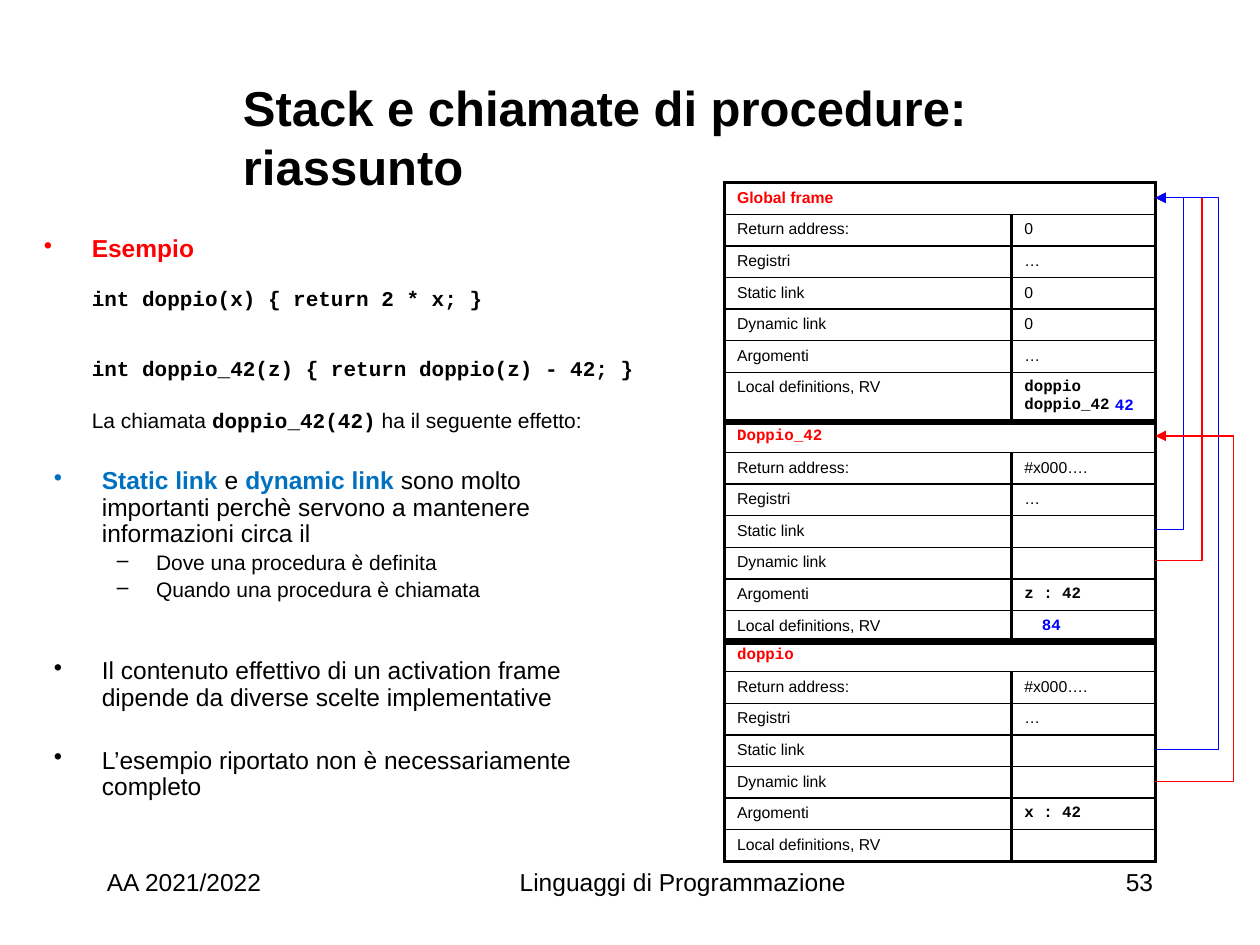
from copy import deepcopy

from lxml import etree
from pptx import Presentation
from pptx.dml.color import RGBColor
from pptx.enum.text import MSO_ANCHOR, PP_ALIGN
from pptx.oxml.ns import qn
from pptx.util import Inches, Pt

LEFT, MID, RIGHT = PP_ALIGN.LEFT, PP_ALIGN.CENTER, PP_ALIGN.RIGHT
TOP, MIDDLE = MSO_ANCHOR.TOP, MSO_ANCHOR.MIDDLE
BLACK = RGBColor(0, 0, 0)
RED = RGBColor(255, 0, 0)
BLUE = RGBColor(0, 0, 255)
SKY = RGBColor(0, 0x70, 0xC0)
SANS, MONO = "Arial", "Courier New"


def style(size, color=BLACK, bold=False, name=SANS):
    """Return the format values of a run."""
    return {"size": Pt(size), "name": name, "bold": bold, "color": color}


BIG, SMALL, CELL = style(14), style(12), style(9)
CODE = style(12, bold=True, name=MONO)
VALUE = style(9, bold=True, name=MONO)
RESULT = style(9, BLUE, True, MONO)
TERM = style(14, SKY, True)

# Paragraph: bullet, left margin, indent, space before, runs
EXAMPLE = [
    ("•", 0.38, -0.38, 0, [("Esempio", style(14, RED, True))]),
    ("", 0.38, 0, 14.5, [("int doppio(x) { return 2 * x; }", CODE)]),
    ("", 0.38, 0, 26.7,
     [("int doppio_42(z) { return doppio(z) - 42; }", CODE)]),
    ("", 0.38, 0, 17.2, [("La chiamata ", SMALL), ("doppio_42(42)", CODE),
                         (" ha il seguente effetto:", SMALL)]),
]
NOTES = [
    ("•", 0.38, -0.38, 0, [
        ("Static link", TERM), (" e ", BIG), ("dynamic link", TERM),
        (" sono molto importanti perchè servono a mantenere "
         "informazioni circa il", BIG)]),
    ("–", 0.81, -0.31, 2.4, [("Dove una procedura è definita", SMALL)]),
    ("–", 0.81, -0.31, 2.4, [("Quando una procedura è chiamata", SMALL)]),
    ("•", 0.38, -0.38, 32.4, [
        ("Il contenuto effettivo di un activation frame dipende da "
         "diverse scelte implementative", BIG)]),
    ("•", 0.38, -0.38, 21, [
        ("L’esempio riportato non è necessariamente completo", BIG)]),
]
# Label: left, top, width, height, text, format, alignment, anchor, wrap
LABELS = [
    (0.75, 6.83, 2.5, 0.5, "AA 2021/2022", BIG, LEFT, TOP, True),
    (3.17, 6.83, 4.5, 0.5, "Linguaggi di Programmazione", BIG, MID, TOP, True),
    (7.25, 6.83, 2, 0.5, "53", BIG, RIGHT, TOP, True),
    (1.83, 0.67, 7.42, 0.83, "Stack e chiamate di procedure: riassunto",
     style(28, bold=True), LEFT, MIDDLE, True),
    (8.17, 4.83, 0.35, 0.25, "84", RESULT, LEFT, TOP, False),
    (8.75, 3.08, 0.35, 0.25, "42", RESULT, LEFT, TOP, False),
]
FIELDS = ["Return address:", "Registri", "Static link", "Dynamic link",
          "Argomenti", "Local definitions, RV"]
# Frame: top, height of last row, name, font of name, values
FRAMES = [
    (1.45, 0.38, "Global frame", SANS,
     ["0", "…", "0", "0", "…", "doppio\ndoppio_42"]),
    (3.34, 0.26, "Doppio_42", MONO, ["#x000….", "…", "", "", "z : 42", ""]),
    (5.08, 0.24, "doppio", MONO, ["#x000….", "…", "", "", "x : 42", ""]),
]
FRAME_X, COLS, ROW = 5.75, (2.28, 1.14), 0.24
EDGE = FRAME_X + sum(COLS)
# Link: start height, end height, far side, colour
LINKS = [(4.2, 1.57, 9.39, BLUE), (4.45, 1.57, 9.54, RED),
         (5.95, 1.57, 9.67, BLUE), (6.2, 3.46, 9.79, RED)]


def add_run(par, text, form):
    """Add formatted text, with a line break at each newline."""
    for i, line in enumerate(text.split("\n")):
        if i:
            par.add_line_break()
            par._p[-1].append(deepcopy(run._r.rPr))
        run = par.add_run()
        run.text = line
        for key, val in form.items():
            if key == "color":
                run.font.color.rgb = val
            else:
                setattr(run.font, key, val)


def add_box(slide, left, top, width, height, wrap=True, anchor=TOP):
    """Add a text box and return its text frame."""
    box = slide.shapes.add_textbox(*map(Inches, (left, top, width, height)))
    box.text_frame.word_wrap = wrap
    box.text_frame.vertical_anchor = anchor
    return box.text_frame


def add_list(slide, place, items):
    """Add a text box of bulleted and indented paragraphs."""
    frame = add_box(slide, *place)
    for i, (mark, margin, indent, gap, runs) in enumerate(items):
        par = frame.add_paragraph() if i else frame.paragraphs[0]
        par.line_spacing = 0.9
        par.space_before = Pt(gap)
        props = par._p.get_or_add_pPr()
        props.set("marL", str(Inches(margin)))
        props.set("indent", str(Inches(indent)))
        if mark:
            etree.SubElement(props, qn("a:buChar"), char=mark)
        for text, form in runs:
            add_run(par, text, form)


def add_rule(cell, top, bottom):
    """Draw the four borders of a cell and clear its fill."""
    props = cell._tc.get_or_add_tcPr()
    for side, width in zip("LRTB", (2.25, 2.25, top, bottom)):
        line = etree.SubElement(props, qn("a:ln" + side), w=str(Pt(width)))
        fill = etree.SubElement(line, qn("a:solidFill"))
        etree.SubElement(fill, qn("a:srgbClr"), val=str(BLACK))
    cell.fill.background()


def add_frame(slide, top, last, name, font, values):
    """Add the table of one activation frame."""
    rows = [(name, "")] + list(zip(FIELDS, values))
    sizes = [ROW] * len(FIELDS) + [last]
    table = slide.shapes.add_table(
        len(rows), len(COLS), Inches(FRAME_X), Inches(top),
        Inches(sum(COLS)), Inches(sum(sizes))).table
    table.first_row = table.horz_banding = False
    for col, width in zip(table.columns, COLS):
        col.width = Inches(width)
    for r, row in enumerate(rows):
        table.rows[r].height = Inches(sizes[r])
        for c, text in enumerate(row):
            cell = table.cell(r, c)
            add_rule(cell, 1 if r else 2.25,
                     1 if r < len(FIELDS) else 2.25)
            par = cell.text_frame.paragraphs[0]
            form = CELL
            if r == 0:
                form = style(9, RED, True, font)
            elif c and "o" in text and "#" not in text or ":" in text and c:
                form = VALUE
            if text:
                add_run(par, text, form)
            else:
                etree.SubElement(par._p, qn("a:endParaRPr"), sz="900")
    table.cell(0, 0).merge(table.cell(0, 1))


def add_link(slide, start, end, far, color):
    """Add a bent arrow on the right side of the frames."""
    pen = slide.shapes.build_freeform(Inches(EDGE), Inches(start))
    pen.add_line_segments(
        [(Inches(x), Inches(y))
         for x, y in ((far, start), (far, end), (EDGE, end))], close=False)
    link = pen.convert_to_shape()
    link.shadow.inherit = False
    link.fill.background()
    link.line.color.rgb = color
    link.line.width = Pt(0.75)
    etree.SubElement(link.line._get_or_add_ln(), qn("a:tailEnd"),
                     type="triangle")


deck = Presentation()
deck.slide_width, deck.slide_height = Inches(10), Inches(7.5)
slide = deck.slides.add_slide(deck.slide_layouts[6])
add_list(slide, (0.25, 1.83, 4.92, 2.25), EXAMPLE)
for frame in FRAMES:
    add_frame(slide, *frame)
for *place, text, form, align, anchor, wrap in LABELS:
    par = add_box(slide, *place, wrap, anchor).paragraphs[0]
    par.alignment = align
    add_run(par, text, form)
add_list(slide, (0.33, 3.67, 4.58, 3.08), NOTES)
for link in LINKS:
    add_link(slide, *link)
deck.save("out.pptx")
